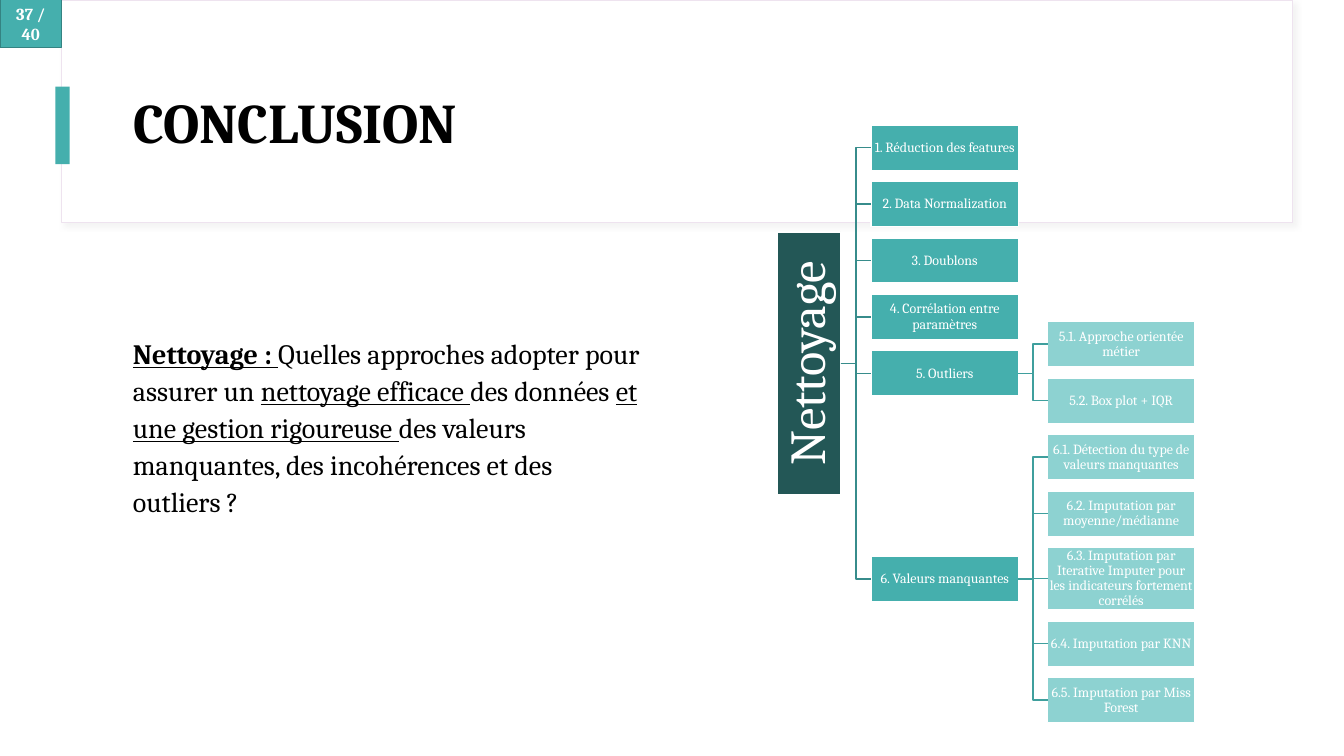
from lxml import etree
from pptx import Presentation
from pptx.dml.color import RGBColor
from pptx.enum import shapes, text
from pptx.oxml import ns
from pptx.util import Inches, Pt

TEAL, DARK_TEAL, LIGHT_TEAL = "45AFAD", "235756", "8DD2D1"
WHITE, BLACK = "FFFFFF", "000000"


def paint(color_format, color):
    color_format.rgb = RGBColor.from_string(color)


def add_box(left, top, width, height, fill, line=None, words="", size=10, inset=0.01):
    box = slide.shapes.add_shape(
        shapes.MSO_SHAPE.RECTANGLE, Inches(left), Inches(top), Inches(width), Inches(height))
    box.shadow.inherit = False
    box.fill.solid()
    paint(box.fill.fore_color, fill)
    if line:
        paint(box.line.color, line)
    else:
        box.line.fill.background()
    if words:
        frame = box.text_frame
        frame.word_wrap = True
        frame.vertical_anchor = text.MSO_ANCHOR.MIDDLE
        frame.margin_left = frame.margin_right = Inches(inset)
        frame.margin_top = frame.margin_bottom = Inches(min(inset, 0.05))
        frame.text = words
        paragraph = frame.paragraphs[0]
        paragraph.alignment = text.PP_ALIGN.CENTER
        font = paragraph.runs[0].font
        font.name, font.size = "Cambria", Pt(size)
        paint(font.color, WHITE)
    return box


deck = Presentation()
deck.slide_width, deck.slide_height = Inches(13.33), Inches(7.5)
slide = deck.slides.add_slide(deck.slide_layouts[5])

# Header panel with its soft shadow, accent bar and page number
header = add_box(0.61, 0, 12.21, 2.21, WHITE, "EEE3EF")
header.line.width = Pt(0.75)
effects = header._element.spPr.find(ns.qn("a:effectLst"))
shadow = etree.SubElement(effects, ns.qn("a:outerShdw"), blurRad=str(Pt(4)),
                          dist=str(Pt(3)), dir="2700000", algn="tl", rotWithShape="0")
shadow_color = etree.SubElement(shadow, ns.qn("a:srgbClr"), val="D9D9D9")
etree.SubElement(shadow_color, ns.qn("a:alpha"), val="30000")
add_box(0.55, 0.86, 0.14, 0.77, TEAL)
page_number = add_box(0, 0, 0.61, 0.47, TEAL, "348382", "37 / 40", 12, 0.1)
page_number.line.width = Pt(0.75)
page_number.text_frame.paragraphs[0].runs[0].font.bold = True

# Title, brought in front of the header panel
title = slide.shapes.title
title._element.getparent().append(title._element)
title.left, title.top = Inches(1.22), Inches(0.6)
title.width, title.height = Inches(11.12), Inches(1.29)
title.text_frame.text = "CONCLUSION"
title.text_frame.auto_size = text.MSO_AUTO_SIZE.NONE
title.text_frame.vertical_anchor = text.MSO_ANCHOR.MIDDLE
heading = title.text_frame.paragraphs[0]
heading.alignment = text.PP_ALIGN.LEFT
heading.line_spacing = 0.9
heading_font = heading.runs[0].font
heading_font.name, heading_font.size, heading_font.bold = "Cambria", Pt(40), True
paint(heading_font.color, BLACK)

# Question: (words, bold, underlined)
question_parts = [
    ("Nettoyage : ", True, True),
    ("Quelles approches adopter pour assurer un ", False, False),
    ("nettoyage efficace ", False, True),
    ("des données ", False, False),
    ("et une gestion rigoureuse ", False, True),
    ("des valeurs manquantes, des incohérences et des outliers ?", False, False),
]
question = slide.shapes.add_textbox(Inches(1.22), Inches(2.71), Inches(5.4), Inches(3.03))
question.text_frame.word_wrap = True
question.text_frame.vertical_anchor = text.MSO_ANCHOR.MIDDLE
sentence = question.text_frame.paragraphs[0]
sentence.line_spacing, sentence.space_before = 1.1, Pt(10)
for words, bold, underlined in question_parts:
    run = sentence.add_run()
    run.text = words
    run.font.name, run.font.size = "Cambria", Pt(20)
    run.font.bold, run.font.underline = bold, underlined
    paint(run.font.color, BLACK)

# Cleaning tree: each step with its sub-steps
steps = [
    ("1. Réduction des features", []),
    ("2. Data Normalization", []),
    ("3. Doublons", []),
    ("4. Corrélation entre paramètres", []),
    ("5. Outliers", ["5.1. Approche orientée métier", "5.2. Box plot + IQR"]),
    ("6. Valeurs manquantes", [
        "6.1. Détection du type de valeurs manquantes",
        "6.2. Imputation par moyenne/médianne",
        "6.3. Imputation par Iterative Imputer pour les indicateurs fortement corrélés",
        "6.4. Imputation par KNN",
        "6.5. Imputation par Miss Forest"]),
]
STEP_LEFT, SUBSTEP_LEFT, BOX_WIDTH = 8.64, 10.39, 1.46
BOX_HEIGHT, TALL_HEIGHT, GAP = 0.45, 0.62, 0.11
LAST_STEP_TOP = 5.52

root = add_box(6.72, 3.29, 2.61, 0.63, DARK_TEAL, WHITE, "Nettoyage", 36, 0.03)
root.rotation = 270
tree_boxes, links = [root], []
step_top, substep_top = 1.24, 3.19
for step_name, substeps in steps:
    if step_name == steps[-1][0]:
        step_top = LAST_STEP_TOP
    step = add_box(STEP_LEFT, step_top, BOX_WIDTH, BOX_HEIGHT, TEAL, WHITE, step_name)
    step_top += BOX_HEIGHT + GAP
    tree_boxes.append(step)
    links.append((root, step, "378C8B"))
    for substep_name in substeps:
        height = TALL_HEIGHT if substep_name.startswith("6.3.") else BOX_HEIGHT
        substep = add_box(SUBSTEP_LEFT, substep_top, BOX_WIDTH, height,
                          LIGHT_TEAL, WHITE, substep_name)
        substep_top += height + GAP
        tree_boxes.append(substep)
        links.append((step, substep, "3F9F9D"))

for box in tree_boxes:
    box.line.width = Pt(1)
    box.text_frame.paragraphs[0].line_spacing = 0.9

# Elbow links from the right side of a parent to the left side of a child
for parent, child, color in links:
    link = slide.shapes.add_connector(shapes.MSO_CONNECTOR.ELBOW, 0, 0, 0, 0)
    link.begin_connect(parent, 2 if parent is root else 3)
    link.end_connect(child, 1)
    if parent is root:  # the rotated box has its bottom side on the right
        link.begin_x = root.left + (root.width + root.height) // 2
        link.begin_y = root.top + root.height // 2
    paint(link.line.color, color)
    link.line.width = Pt(1)
    etree.SubElement(link._element.spPr, ns.qn("a:effectLst"))

deck.save("out.pptx")
